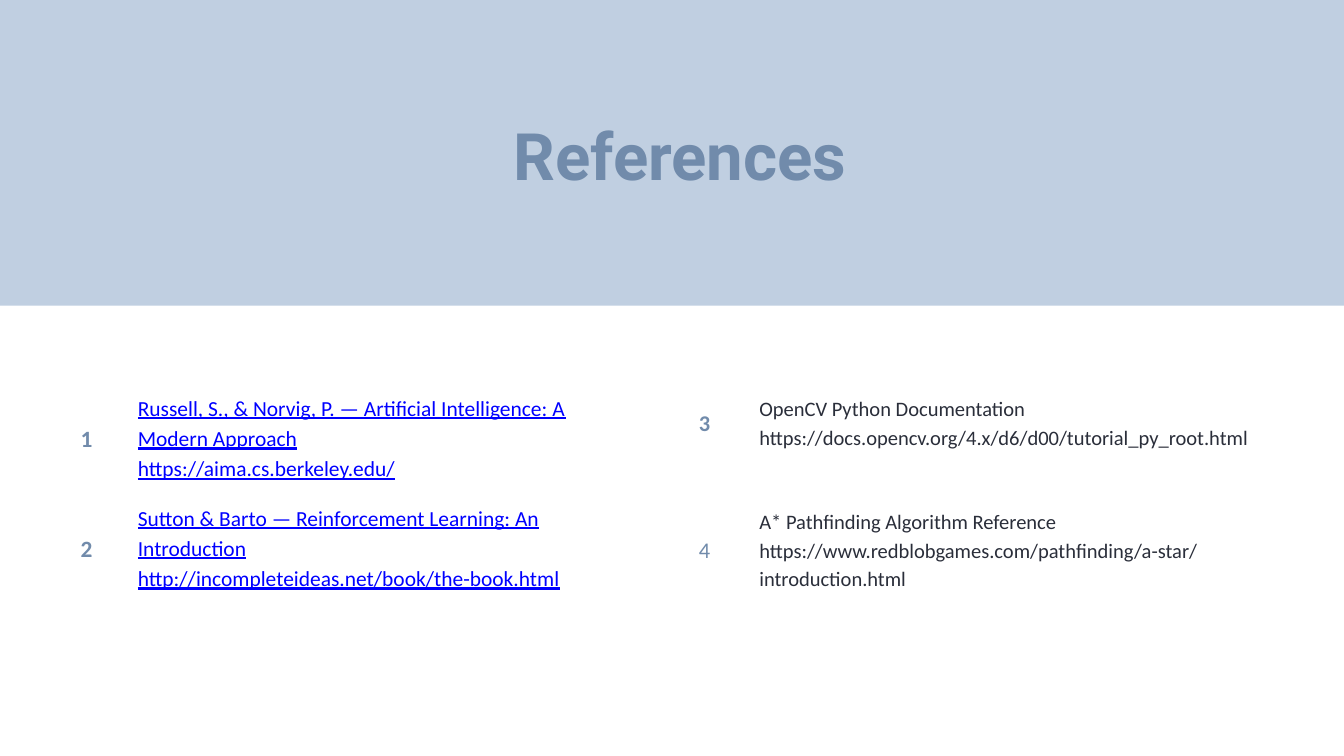
"""Build the References slide: a title band above two numbered reference tables."""
from pptx import Presentation
from pptx.dml.color import RGBColor
from pptx.enum.shapes import MSO_SHAPE
from pptx.enum.text import MSO_ANCHOR, MSO_AUTO_SIZE, PP_ALIGN
from pptx.util import Inches, Pt

COLORS = {"band": "C0CFE1", "accent": "718BAB", "text": "2A2E3A", "link": "0000FF"}
MARGINS = ("margin_left", "margin_top", "margin_right", "margin_bottom")

LINKED = [
    ("1", True, ["Russell, S., & Norvig, P. — Artificial Intelligence: A Modern Approach",
                 "https://aima.cs.berkeley.edu/"]),
    ("2", True, ["Sutton & Barto — Reinforcement Learning: An Introduction",
                 "http://incompleteideas.net/book/the-book.html"]),
]
PLAIN = [
    ("3", True, ["OpenCV Python Documentation",
                 "https://docs.opencv.org/4.x/d6/d00/tutorial_py_root.html"]),
    ("4", False, ["A* Pathfinding Algorithm Reference",
                  "https://www.redblobgames.com/pathfinding/a-star/introduction.html"]),
]


def write(tf, lines, color, size, spacing, **font):
    """Write lines as paragraphs with one format and exact line spacing."""
    values = {"name": "Calibri", "size": Pt(size), "bold": False, **font}
    for i, line in enumerate(lines):
        p = tf.paragraphs[0] if i == 0 else tf.add_paragraph()
        p.line_spacing = Pt(spacing)
        r = p.add_run()
        r.text = line
        for name, value in values.items():
            setattr(r.font, name, value)
        r.font.color.rgb = RGBColor.from_string(COLORS[color])


def add_band(s, height):
    """Add the full-width band behind the title."""
    sp = s.shapes.add_shape(MSO_SHAPE.RECTANGLE, 0, 0, Inches(20), Inches(height))
    sp.shadow.inherit = False
    sp.fill.solid()
    sp.fill.fore_color.rgb = RGBColor.from_string(COLORS["band"])
    sp.line.fill.background()
    s.shapes.title._element.addprevious(sp._element)


def set_title(s, text):
    """Place and format the title placeholder."""
    sp = s.shapes.title
    sp.left, sp.top, sp.width, sp.height = map(Inches, (2.47, 1.61, 15.3, 1.25))
    tf = sp.text_frame
    values = {"word_wrap": True, "auto_size": MSO_AUTO_SIZE.NONE,
              "vertical_anchor": MSO_ANCHOR.TOP, **dict.fromkeys(MARGINS, 0)}
    for name, value in values.items():
        setattr(tf, name, value)
    write(tf, [text], "accent", 70, 91, name="Roboto", bold=True)
    tf.paragraphs[0].alignment = PP_ALIGN.CENTER


def add_references(s, left, top, widths, heights, entries, color, size, underline):
    """Add a borderless table of numbered references with an empty last row."""
    frame = s.shapes.add_table(len(heights), len(widths), Inches(left), Inches(top),
                               Inches(sum(widths)), Inches(sum(heights)))
    table = frame.table
    table.first_row = table.horz_banding = False
    for column, width in zip(table.columns, widths):
        column.width = Inches(width)
    for row, height in zip(table.rows, heights):
        row.height = Inches(height)
    for cell in table.iter_cells():
        cell.fill.background()
        cell.vertical_anchor = MSO_ANCHOR.MIDDLE
        for name in MARGINS:
            setattr(cell, name, Inches(0.08))
    for i, (number, bold, lines) in enumerate(entries):
        write(table.cell(i, 0).text_frame, [number], "accent",
              size + 2, 1.4 * (size + 2), bold=bold)
        write(table.cell(i, 1).text_frame, lines, color,
              size, 1.4 * size, underline=underline)


def main():
    """Build and save the slide."""
    prs = Presentation()
    prs.slide_width, prs.slide_height = Inches(20), Inches(11.25)
    s = prs.slides.add_slide(prs.slide_layouts[5])
    add_band(s, 4.55)
    set_title(s, "References")
    add_references(s, 10.32, 5.12, (0.9, 7.44), (2.32, 1.47, 0.65),
                   PLAIN, "text", 22, False)
    add_references(s, 1.12, 5.62, (0.85, 7.02), (1.77, 1.5, 0.67),
                   LINKED, "link", 23, True)
    prs.save("out.pptx")


if __name__ == "__main__":
    main()
